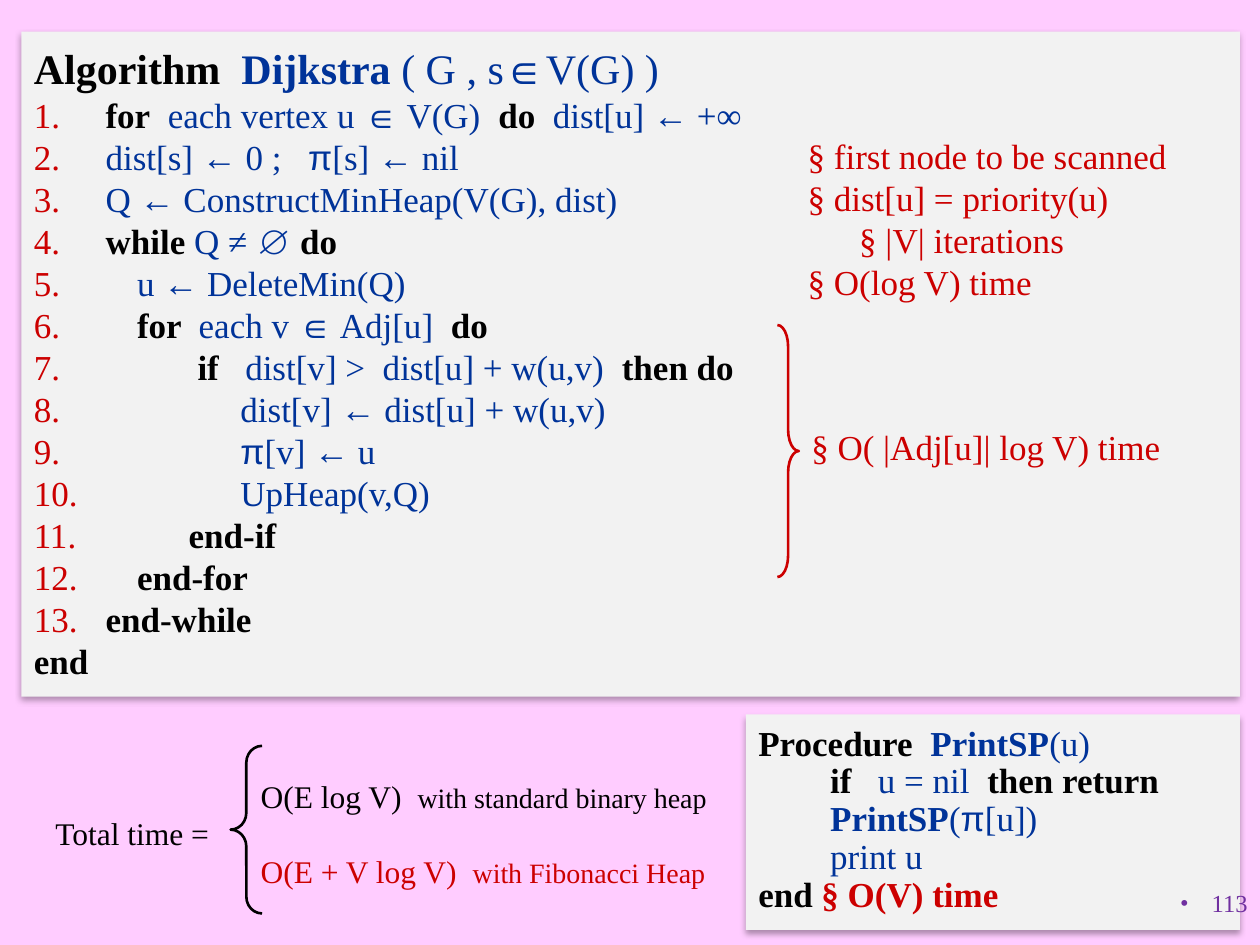
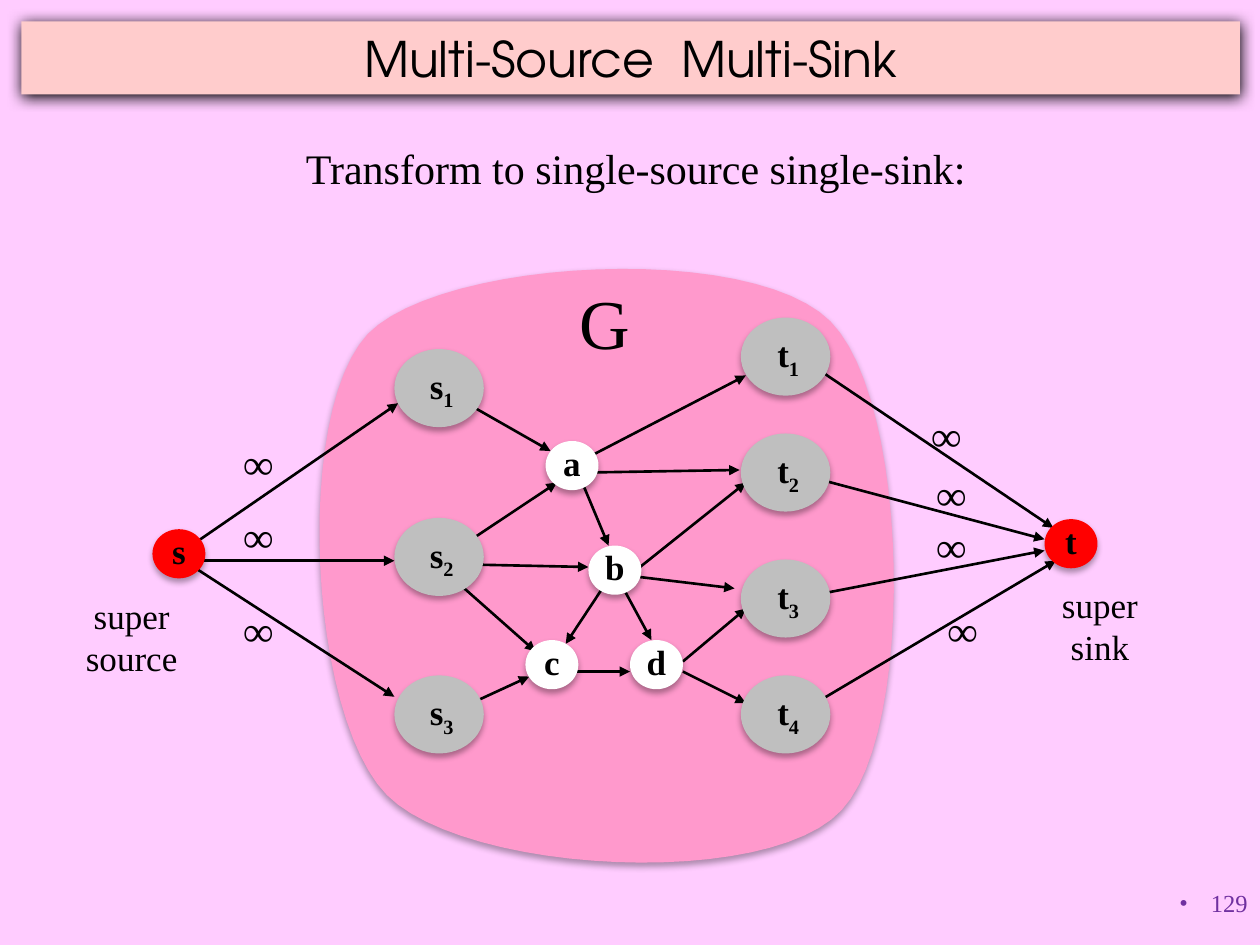
from lxml.etree import SubElement
from pptx import Presentation
from pptx.dml.color import RGBColor
from pptx.enum.shapes import MSO_CONNECTOR, MSO_SHAPE
from pptx.enum.text import MSO_ANCHOR, PP_ALIGN
from pptx.oxml.ns import qn
from pptx.util import Inches, Pt

# Colours
PAGE = RGBColor(0xFF, 0xCC, 0xFF)
PANEL = RGBColor(0xF2, 0xF2, 0xF2)
BAND = RGBColor(0xFF, 0xCC, 0xCC)
ROSE = RGBColor(0xFF, 0x99, 0xCC)
GRAY = RGBColor(0xBF, 0xBF, 0xBF)
WHITE = RGBColor(0xFF, 0xFF, 0xFF)
HOT = RGBColor(0xFF, 0x00, 0x00)
BLACK = RGBColor(0x00, 0x00, 0x00)
BLUE = RGBColor(0x00, 0x33, 0x99)
RED = RGBColor(0xCC, 0x00, 0x00)
PURPLE = RGBColor(0x70, 0x30, 0xA0)

SERIF, SANS, HEAD = "Times New Roman", "Arial", "TeX Gyre Adventor"
LEFT, MID, RIGHT = PP_ALIGN.LEFT, PP_ALIGN.CENTER, PP_ALIGN.RIGHT
SNUG = (0.1, 0.05, 0.1, 0.01)

# Run styles, chosen in a text by "^" and a letter: colour, bold, font
STYLES = {
    "D": (BLACK, False, SERIF),
    "K": (BLACK, True, SERIF),
    "S": (BLACK, True, SERIF),  # subscript
    "B": (BLUE, False, SERIF),
    "N": (BLUE, True, SERIF),
    "P": (BLUE, False, SANS),
    "R": (RED, False, SERIF),
    "E": (RED, True, SERIF),
    "V": (PURPLE, False, SERIF),
    "H": (BLACK, False, HEAD),
}


def write(frame, text, size=20, align=LEFT, left=0, hang=0, before=0,
          space=None, mark=None, tab=None):
    """Add one paragraph; mark is a (tag, attribute, value, colour) bullet."""
    para = frame.paragraphs[0]
    if para.runs:
        para = frame.add_paragraph()
    para.alignment = align
    props = para._p.get_or_add_pPr()
    props.set("marL", str(Inches(left)))
    props.set("indent", str(Inches(-hang)))
    if mark:
        tag, key, value, color = mark
        tint = SubElement(props, qn("a:buClr"))
        SubElement(tint, qn("a:srgbClr"), val=str(color))
        SubElement(props, qn("a:buFont"), typeface=SERIF)
        SubElement(props, qn(tag), {key: value})
    if tab:
        stops = SubElement(props, qn("a:tabLst"))
        SubElement(stops, qn("a:tab"), pos=str(Inches(tab)), algn="l")
    if before:
        para.space_before = Pt(before)
    if space:
        para.line_spacing = space
    if not text.startswith("^"):
        text = "^D" + text
    for part in text.split("^")[1:]:
        run = para.add_run()
        run.text = part[1:]
        font = run.font
        font.size = Pt(size)
        font.color.rgb, font.bold, font.name = STYLES[part[0]]
        if part[0] == "S":
            run._r.get_or_add_rPr().set("baseline", "-25000")


class Deck:
    def __init__(self):
        self.prs = Presentation()
        self.prs.slide_width, self.prs.slide_height = Inches(10), Inches(7.5)

    def page(self, number):
        self.slide = self.prs.slides.add_slide(self.prs.slide_layouts[6])
        self.shapes = self.slide.shapes
        fill = self.slide.background.fill
        fill.solid()
        fill.fore_color.rgb = PAGE
        self.number = number

    def footer(self):
        self.label(7.92, 7, 2.08, 0.5, f"^V{self.number}", size=14, align=RIGHT,
                   wrap=True, left=0.25, hang=0.25,
                   mark=("a:buChar", "char", "•", PURPLE))

    def shade(self, shape, alpha=32, blur=3.5, dist=2.2):
        shape.shadow.inherit = False
        effects = shape._element.spPr.find(qn("a:effectLst"))
        outer = SubElement(effects, qn("a:outerShdw"), blurRad=str(Pt(blur)),
                           dist=str(Pt(dist)), dir="5400000", rotWithShape="0")
        color = SubElement(outer, qn("a:srgbClr"), val="000000")
        SubElement(color, qn("a:alpha"), val=str(alpha * 1000))

    def frame(self, shape, inset, wrap=True, anchor=MSO_ANCHOR.TOP):
        frame = shape.text_frame
        frame.word_wrap = wrap
        frame.vertical_anchor = anchor
        (frame.margin_left, frame.margin_top,
         frame.margin_right, frame.margin_bottom) = map(Inches, inset)
        return frame

    def paint(self, shape, fill, **shadow):
        shape.fill.solid()
        shape.fill.fore_color.rgb = fill
        shape.line.fill.background()
        self.shade(shape, **shadow)

    def box(self, x, y, w, h, fill, kind=MSO_SHAPE.RECTANGLE,
            inset=(0.1, 0.09, 0.1, 0.09), anchor=MSO_ANCHOR.TOP, wrap=True, **shadow):
        shape = self.shapes.add_shape(kind, *map(Inches, (x, y, w, h)))
        self.paint(shape, fill, **shadow)
        return self.frame(shape, inset, wrap, anchor)

    def label(self, x, y, w, h, *lines, inset=(0.1, 0.05, 0.1, 0.05),
              wrap=False, **style):
        shape = self.shapes.add_textbox(*map(Inches, (x, y, w, h)))
        frame = self.frame(shape, inset, wrap)
        for line in lines:
            write(frame, line, **style)
        return frame

    def brace(self, kind, x, y, w, h, color, curl):
        shape = self.shapes.add_shape(kind, *map(Inches, (x, y, w, h)))
        shape.adjustments[0] = curl
        shape.fill.background()
        shape.line.color.rgb = color
        shape.line.width = Pt(1.5)
        shape.shadow.inherit = False

    def arrow(self, *ends):
        line = self.shapes.add_connector(MSO_CONNECTOR.STRAIGHT, *map(Inches, ends))
        line.line.color.rgb = BLACK
        line.line.width = Pt(1.5)
        props = line._element.spPr
        SubElement(props.find(qn("a:ln")), qn("a:tailEnd"), type="triangle")
        SubElement(props, qn("a:effectLst"))

    def node(self, x, y, name, fill=WHITE):
        sub = name[1:]
        w, h, pad = (0.71, 0.62, (0.14, 0.05, 0.1, 0.05)) if sub else (0.42, 0.39, SNUG)
        frame = self.box(x, y, w, h, fill, MSO_SHAPE.OVAL, pad,
                         MSO_ANCHOR.MIDDLE, wrap=False)
        text = f"^K{name[0]}" + (f"^S{sub}" if sub else "")
        write(frame, text, align=MID, space=None if sub else 0.65)

    def region(self, start, curves, fill, steps=24):
        points, (x0, y0) = [], start
        for x1, y1, x2, y2, x3, y3 in curves:
            for i in range(1, steps + 1):
                t = i / steps
                u = 1 - t
                a, b, c, d = u**3, 3 * u * u * t, 3 * u * t * t, t**3
                points.append((Inches(a * x0 + b * x1 + c * x2 + d * x3),
                               Inches(a * y0 + b * y1 + c * y2 + d * y3)))
            x0, y0 = x3, y3
        outline = self.shapes.build_freeform(*map(Inches, start))
        outline.add_line_segments(points, close=True)
        self.paint(outline.convert_to_shape(), fill)


# Numbered code: left indent and text
STEPS = [
    (0.5, "^Kfor^B  each vertex u ∈ V(G)  ^Kdo  ^Bdist[u] ← +∞"),
    (0.5, "^Bdist[s] ← 0 ;   ^Pπ^B[s] ← nil"),
    (0.5, "^BQ ← ConstructMinHeap(V(G), dist)"),
    (0.5, "^Kwhile^B Q ≠ ∅ ^Kdo"),
    (0.75, "^Bu ← DeleteMin(Q)"),
    (0.75, "^Kfor  ^Beach v ∈ Adj[u] ^K do"),
    (1.23, "^Kif   ^Bdist[v] >  dist[u] + w(u,v)  ^Kthen do"),
    (1.57, "^Bdist[v] ← dist[u] + w(u,v)"),
    (1.57, "^Pπ^B[v] ← u"),
    (1.57, "^BUpHeap(v,Q)"),
    (1.16, "^Kend-if"),
    (0.75, "^Kend-for"),
    (0.5, "^Kend-while"),
]
NOTES = [(0, "first node to be scanned"), (0, "dist[u] = priority(u)"),
         (0.41, "|V| iterations"), (0, "O(log V) time")]

EDGES = [
    (3.65, 3.17, 4.37, 3.58), (3.67, 4.33, 4.42, 3.83), (4.6, 3.78, 4.83, 4.33),
    (4.57, 3.68, 5.92, 2.98), (4.67, 3.75, 5.87, 3.73), (3.71, 4.48, 4.67, 4.5),
    (5.08, 4.5, 5.92, 3.83), (5.08, 4.58, 5.83, 4.67), (4.91, 4.6, 5.17, 5.08),
    (4.86, 4.55, 4.49, 5.11), (3.64, 4.63, 4.25, 5.17), (3.7, 5.6, 4.2, 5.37),
    (4.58, 5.33, 5, 5.33), (5.42, 5.33, 5.92, 5.58), (5.42, 5.25, 5.92, 4.83),
    # from the super source
    (1.46, 4.37, 3.16, 3.2), (1.46, 4.45, 3.13, 4.45), (1.46, 4.45, 3.13, 5.53),
    # to the super sink
    (6.55, 2.97, 8.36, 4.19), (6.56, 3.82, 8.29, 4.28),
    (6.58, 4.7, 8.29, 4.37), (6.54, 5.54, 8.38, 4.45),
]
INNER = [("a", 4.33, 3.5), ("b", 4.67, 4.33), ("c", 4.17, 5.08), ("d", 5, 5.08)]
COSTS = [(1.83, 3.42), (1.83, 4), (1.83, 4.75),
         (7.29, 3.2), (7.33, 3.67), (7.33, 4.08), (7.42, 4.75)]


def dijkstra(deck):
    deck.page(113)
    # Algorithm
    code = deck.box(0.17, 0.25, 9.67, 5.28, PANEL)
    write(code, "^KAlgorithm  ^NDijkstra ^B( G , s∈V(G) )", size=24)
    for left, text in STEPS:
        write(code, "^R " + text, left=left, hang=left,
              mark=("a:buAutoNum", "type", "arabicPeriod", RED))
    write(code, "^Kend")
    notes = deck.label(6.41, 1.07, 3.2, 1.34, inset=(0, 0, 0, 0))
    for left, text in NOTES:
        write(notes, "^R§ " + text, left=left)

    # Total time
    total = deck.label(1.97, 6.18, 3.92, 0.81, wrap=True)
    write(total, "O(E log V)  ", size=18, space=Pt(17))
    write(total, "^RO(E + V log V)  ", size=18, space=Pt(17), before=26)
    heaps = ("with standard binary heap", "with Fibonacci Heap")
    for para, heap in zip(total.paragraphs, heaps):
        run = para.add_run()
        run.text = heap
        run.font.size, run.font.name = Pt(16), SERIF
        run.font.color.rgb = para.runs[0].font.color.rgb
    deck.label(0.33, 6.41, 1.44, 0.34, "Total time =", size=18, align=MID)
    deck.brace(MSO_SHAPE.LEFT_BRACE, 1.83, 5.92, 0.25, 1.33, BLACK, 0.53)

    # Cost of the inner loop
    deck.brace(MSO_SHAPE.RIGHT_BRACE, 6.17, 2.58, 0.17, 2, RED, 1)
    deck.label(6.33, 3.33, 2.99, 0.43, "^R§ O( |Adj[u]| log V) time", align=MID)

    # Procedure
    code = deck.box(5.92, 5.67, 3.92, 1.71, PANEL)
    write(code, "^KProcedure  ^NPrintSP^B(u)", space=0.9)
    for text in ("^Kif   ^Bu = nil  ^Kthen return", "^NPrintSP^B(^Pπ^B[u])", "^Bprint u"):
        write(code, text, left=0.57, space=0.9)
    write(code, "^Kend\t^E§ O(V) time", tab=1.94, space=0.9)
    deck.footer()


def sinks(deck):
    deck.page(129)
    # Title
    title = deck.box(0.17, 0.17, 9.67, 0.58, BAND, inset=(0.1, 0.05, 0.1, 0.05),
                     anchor=MSO_ANCHOR.MIDDLE, alpha=100, blur=8.5, dist=1)
    write(title, "^HMulti-Source  Multi-Sink", size=28, align=MID)
    deck.label(2.33, 1.08, 5.45, 0.46, "Transform to single-source single-sink:",
               size=24, inset=SNUG)

    # Graph
    deck.region((3.07, 6.31), [
        (2.45, 5.68, 2.33, 3.28, 2.92, 2.65), (3.51, 2.05, 5.96, 1.92, 6.59, 2.55),
        (7.22, 3.18, 7.27, 5.8, 6.68, 6.43), (6.1, 7.06, 3.7, 6.94, 3.07, 6.31)], ROSE)
    deck.label(4.5, 2.17, 0.6, 0.73, "G", size=40, align=MID, inset=SNUG)
    for edge in EDGES:
        deck.arrow(*edge)
    for name, x, tops in (("s", 3.13, (2.77, 4.11, 5.36)),
                          ("t", 5.88, (2.52, 3.44, 4.44, 5.36))):
        for i, y in enumerate(tops, 1):
            deck.node(x, y, f"{name}{i}", GRAY)
    for name, x, y in INNER:
        deck.node(x, y, name)

    # Super source and sink
    deck.node(1.21, 4.2, "s", HOT)
    deck.node(8.29, 4.12, "t", HOT)
    for x, y in COSTS:
        deck.label(x, y, 0.44, 0.46, "^K∞", size=24, align=MID, inset=SNUG)
    deck.label(0.58, 4.67, 0.93, 0.73, "super", "source", align=MID, inset=SNUG)
    deck.label(8.33, 4.58, 0.8, 0.73, "super", "sink", align=MID, inset=SNUG)
    deck.footer()


def main():
    deck = Deck()
    dijkstra(deck)
    sinks(deck)
    deck.prs.save("out.pptx")


if __name__ == "__main__":
    main()
